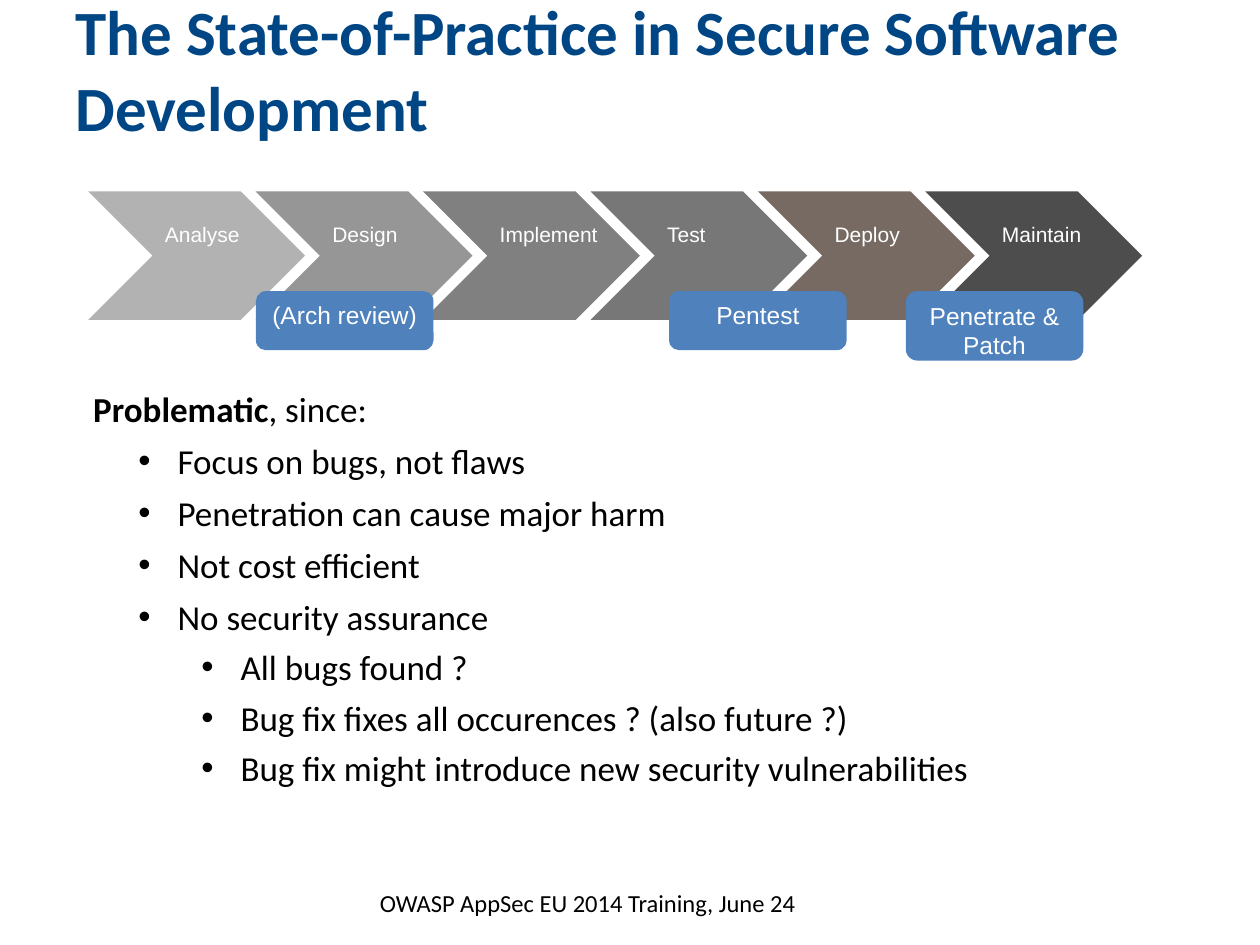
from lxml.etree import SubElement
from pptx import Presentation
from pptx.dml.color import RGBColor
from pptx.enum.shapes import MSO_SHAPE
from pptx.enum.text import MSO_ANCHOR, MSO_AUTO_SIZE, PP_ALIGN
from pptx.oxml.ns import qn
from pptx.util import Cm, Pt

COLORS = {
    "title": "004685",
    "text": "000000",
    "label": "FFFFFF",
    "activity": "4F81BD",
    "Analyse": "B2B2B2",
    "Design": "969696",
    "Implement": "808080",
    "Test": "777777",
    "Deploy": "766A62",
    "Maintain": "4D4D4D",
}
PHASES = ["Analyse", "Design", "Implement", "Test", "Deploy", "Maintain"]
ACTIVITIES = [
    ("(Arch review)", 5.16, 1.19),
    ("Pentest", 13.49, 1.19),
    ("Penetrate & Patch", 18.26, 1.4),
]
PROBLEMS = [
    (1, "Focus on bugs, not flaws"),
    (1, "Penetration can cause major harm"),
    (1, "Not cost efficient"),
    (1, "No security assurance"),
    (2, "All bugs found ?"),
    (2, "Bug fix fixes all occurences ? (also future ?)"),
    (2, "Bug fix might introduce new security vulnerabilities"),
]
LEVELS = {1: (2.06, 5.6), 2: (3.33, 4.8)}
HANGING = 0.79


def add_text(paragraph, text, font="Calibri", size=20, color="text",
             bold=False, align=PP_ALIGN.LEFT):
    paragraph.alignment = align
    run = paragraph.add_run()
    run.text = text
    run.font.name = font
    run.font.size = Pt(size)
    run.font.bold = bold
    run.font.color.rgb = RGBColor.from_string(COLORS[color])


def set_frame(frame, horizontal=0.25, vertical=0.25, wrap=True, anchor=MSO_ANCHOR.TOP):
    frame.auto_size = MSO_AUTO_SIZE.NONE
    frame.word_wrap = wrap
    frame.vertical_anchor = anchor
    frame.margin_left = frame.margin_right = Cm(horizontal)
    frame.margin_top = frame.margin_bottom = Cm(vertical)


def set_indent(paragraph, left, hanging=0.0):
    properties = paragraph._p.get_or_add_pPr()
    properties.set("marL", str(Cm(left)))
    properties.set("indent", str(-Cm(hanging)))
    return properties


def add_title(slide, text):
    title = slide.shapes.title
    title.left, title.top, title.width, title.height = Cm(1.27), Cm(0.76), Cm(22.86), Cm(1.24)
    set_frame(title.text_frame, anchor=MSO_ANCHOR.MIDDLE)
    add_text(title.text_frame.paragraphs[0], text, size=36, color="title", bold=True)


def add_box(slide, kind, left, top, width, height, fill):
    shape = slide.shapes.add_shape(kind, Cm(left), Cm(top), Cm(width), Cm(height))
    shape.shadow.inherit = False
    shape.fill.solid()
    shape.fill.fore_color.rgb = RGBColor.from_string(COLORS[fill])
    shape.line.fill.background()
    return shape


def add_phase(slide, index, name):
    shape = add_box(slide, MSO_SHAPE.CHEVRON, 1.78 + 3.375 * index, 3.86, 4.37, 2.59, name)
    frame = shape.text_frame
    set_frame(frame, wrap=False)
    frame.margin_top = Cm(0.61)
    add_text(frame.paragraphs[0], name, font="Arial", size=12, color="label")


def add_activity(slide, name, left, height):
    shape = add_box(slide, MSO_SHAPE.ROUNDED_RECTANGLE, left, 5.87, 3.58, height, "activity")
    set_frame(shape.text_frame, vertical=0.13)
    add_text(shape.text_frame.paragraphs[0], name, font="Arial", size=14,
             color="label", align=PP_ALIGN.CENTER)


def add_text_box(slide, left, top, width, height):
    frame = slide.shapes.add_textbox(Cm(left), Cm(top), Cm(width), Cm(height)).text_frame
    set_frame(frame)
    return frame


def add_bullet(frame, level, text):
    left, space = LEVELS[level]
    paragraph = frame.add_paragraph()
    paragraph.level = level
    properties = set_indent(paragraph, left, HANGING)
    paragraph.space_before = Pt(space)
    color = SubElement(properties, qn("a:buClr"))
    SubElement(color, qn("a:srgbClr"), val=COLORS["text"])
    SubElement(properties, qn("a:buFont"), typeface="Arial")
    SubElement(properties, qn("a:buChar"), char="•")
    add_text(paragraph, text)


def add_problems(slide):
    frame = add_text_box(slide, 1.27, 7.57, 22.86, 9.83)
    heading = frame.paragraphs[0]
    set_indent(heading, 0.36)
    add_text(heading, "Problematic", bold=True)
    add_text(heading, ", since:")
    for level, text in PROBLEMS:
        add_bullet(frame, level, text)


def main():
    presentation = Presentation()
    presentation.slide_width, presentation.slide_height = Cm(25.4), Cm(19.05)
    slide = presentation.slides.add_slide(presentation.slide_layouts[5])
    add_title(slide, "The State-of-Practice in Secure Software Development")
    add_problems(slide)
    for index, name in enumerate(PHASES):
        add_phase(slide, index, name)
    for activity in ACTIVITIES:
        add_activity(slide, *activity)
    footer = add_text_box(slide, 4.37, 17.65, 14.96, 1.02)
    add_text(footer.paragraphs[0], "OWASP AppSec EU 2014 Training, June 24",
             size=14, align=PP_ALIGN.CENTER)
    presentation.save("out.pptx")


if __name__ == "__main__":
    main()
